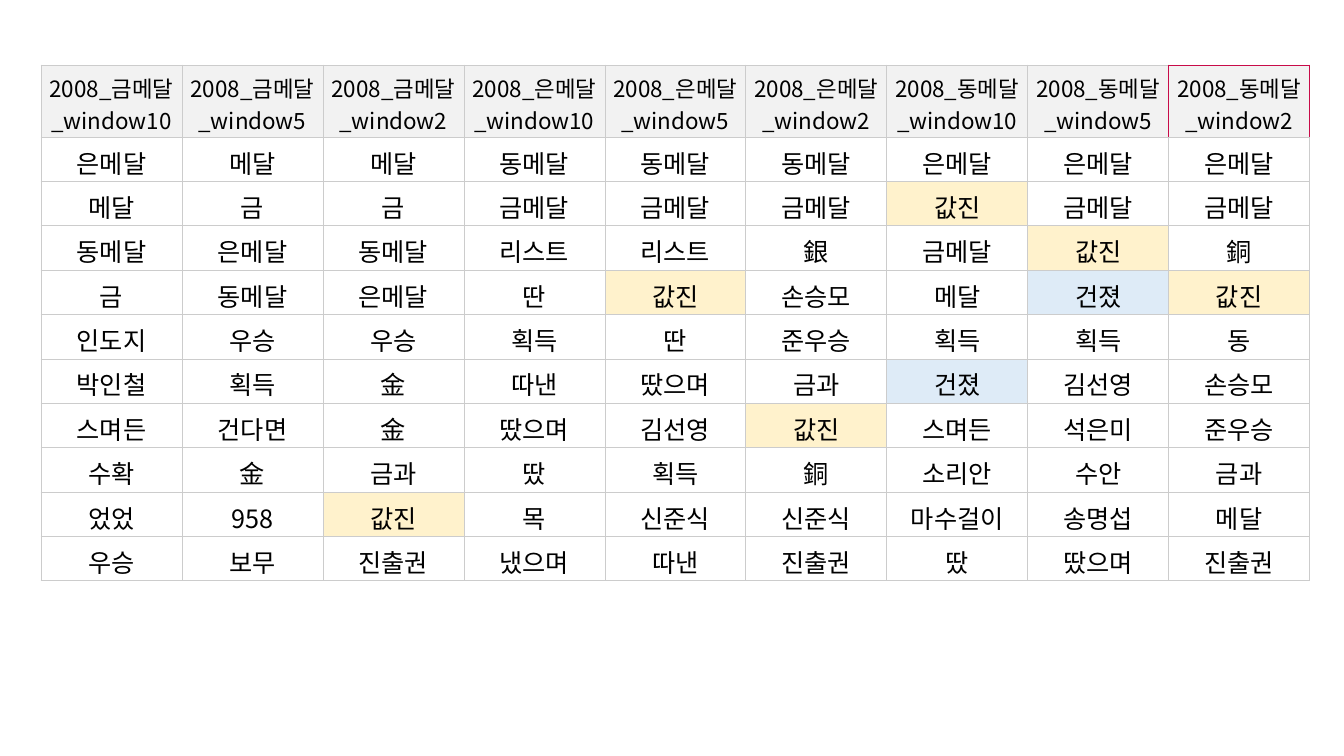
from dataclasses import dataclass

from lxml import etree
from pptx import Presentation
from pptx import util as u
from pptx.dml.color import RGBColor
from pptx.enum import text
from pptx.oxml import ns
from pptx.table import _Cell

SCALE = 914400 / 100.8
FONT = "Noto Sans CJK KR"
COLORS = {
    "text": "000000",
    "header": "F2F2F2",
    "grid": "CCCCCC",
    "accent": "C80B49",
    "yellow": "FFF2CC",
    "blue": "DEEBF7",
}
HIGHLIGHTS = {"값진": "yellow", "건졌": "blue"}
LEFT, TOP, COL_W, HEADER_H, BODY_H = 41, 65, 141, 72, 444
MEDALS = ("금메달", "은메달", "동메달")
WINDOWS = (10, 5, 2)
HEADERS = [f"2008_{medal}_window{size}" for medal in MEDALS for size in WINDOWS]
WORDS = [
    "은메달 메달 메달 동메달 동메달 동메달 은메달 은메달 은메달",
    "메달 금 금 금메달 금메달 금메달 값진 금메달 금메달",
    "동메달 은메달 동메달 리스트 리스트 銀 금메달 값진 銅",
    "금 동메달 은메달 딴 값진 손승모 메달 건졌 값진",
    "인도지 우승 우승 획득 딴 준우승 획득 획득 동",
    "박인철 획득 \uf90a 따낸 땄으며 금과 건졌 김선영 손승모",
    "스며든 건다면 金 땄으며 김선영 값진 스며든 석은미 준우승",
    "수확 \uf90a 금과 땄 획득 銅 소리안 수안 금과",
    "었었 958 값진 목 신준식 신준식 마수걸이 송명섭 메달",
    "우승 보무 진출권 냈으며 따낸 진출권 땄 땄으며 진출권",
]


@dataclass(frozen=True)
class Entry:
    label: str
    size: int
    fill: str | None
    accents: str = ""


def px(n: int) -> int:
    return round(n * SCALE)


def rgb(name: str) -> RGBColor:
    return RGBColor.from_string(COLORS[name])


def draw_borders(cell: _Cell, accents: str) -> None:
    tc_pr = cell._tc.get_or_add_tcPr()
    for side in "LRTB":
        ln = etree.SubElement(tc_pr, ns.qn(f"a:ln{side}"), w=str(u.Pt(0.5)))
        fill = etree.SubElement(ln, ns.qn("a:solidFill"))
        color = COLORS["accent" if side in accents else "grid"]
        etree.SubElement(fill, ns.qn("a:srgbClr"), val=color)


def draw_entry(cell: _Cell, entry: Entry) -> None:
    draw_borders(cell, entry.accents)
    if entry.fill:
        cell.fill.solid()
        cell.fill.fore_color.rgb = rgb(entry.fill)
    else:
        cell.fill.background()
    cell.margin_left = cell.margin_right = px(1)
    cell.margin_top = cell.margin_bottom = px(1)
    cell.vertical_anchor = text.MSO_ANCHOR.BOTTOM
    p = cell.text_frame.paragraphs[0]
    p.alignment = text.PP_ALIGN.CENTER
    r = p.add_run()
    r.text = entry.label
    r.font.size = u.Pt(entry.size)
    r.font.color.rgb = rgb("text")
    r.font.name = FONT
    etree.SubElement(r.font._element, ns.qn("a:ea"), typeface=FONT)


def header_entry(col: int, label: str) -> Entry:
    last = len(HEADERS) - 1
    accents = {last - 1: "R", last: "LTR"}.get(col, "")
    return Entry(label, 16, "header", accents)


prs = Presentation()
prs.slide_width, prs.slide_height = px(1344), px(756)
s = prs.slides.add_slide(prs.slide_layouts[6])

rows = [[header_entry(c, label) for c, label in enumerate(HEADERS)]]
rows += [[Entry(w, 18, HIGHLIGHTS.get(w)) for w in line.split()] for line in WORDS]

frame = s.shapes.add_table(
    len(rows), len(HEADERS),
    px(LEFT), px(TOP), px(COL_W * len(HEADERS)), px(HEADER_H + BODY_H),
)
tbl = frame.table
tbl.first_row = tbl.horz_banding = False
for column in tbl.columns:
    column.width = px(COL_W)
for i, row in enumerate(rows):
    tbl.rows[i].height = px(BODY_H) // len(WORDS) if i else px(HEADER_H)
    for j, entry in enumerate(row):
        draw_entry(tbl.cell(i, j), entry)

prs.save("out.pptx")
